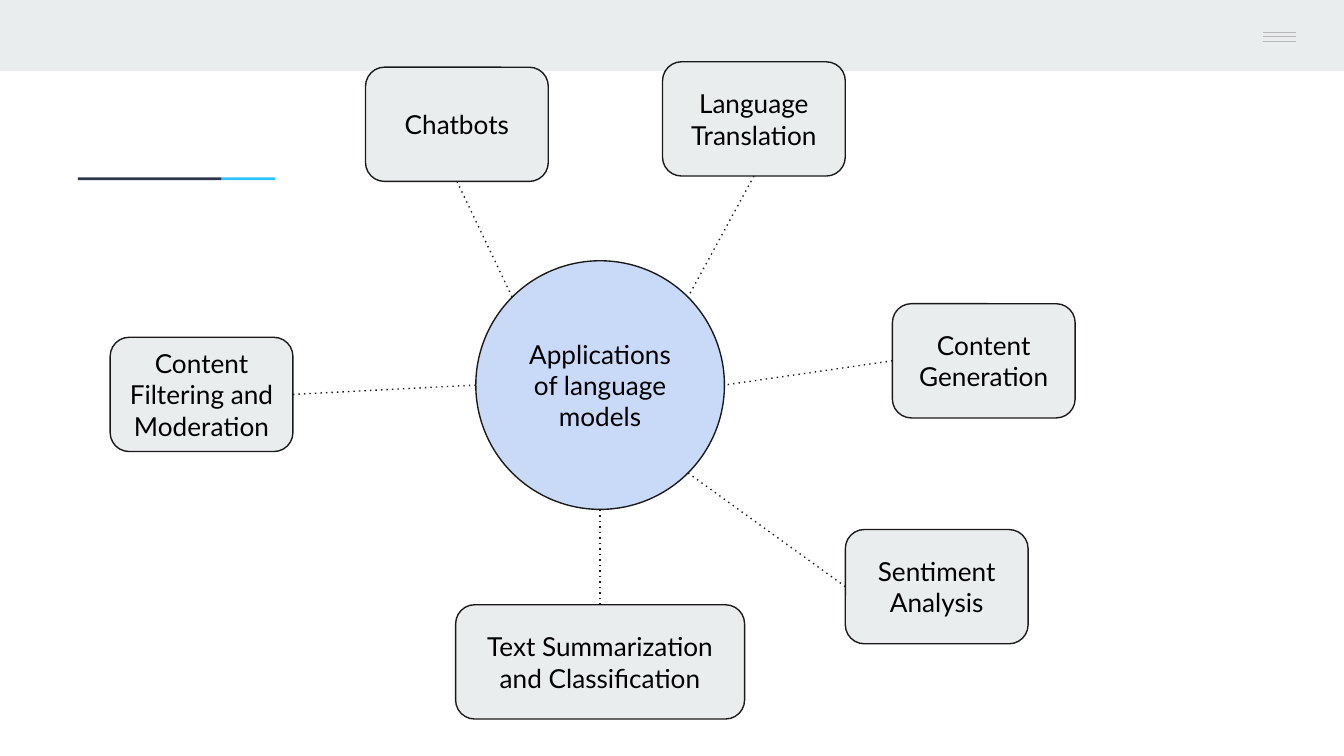
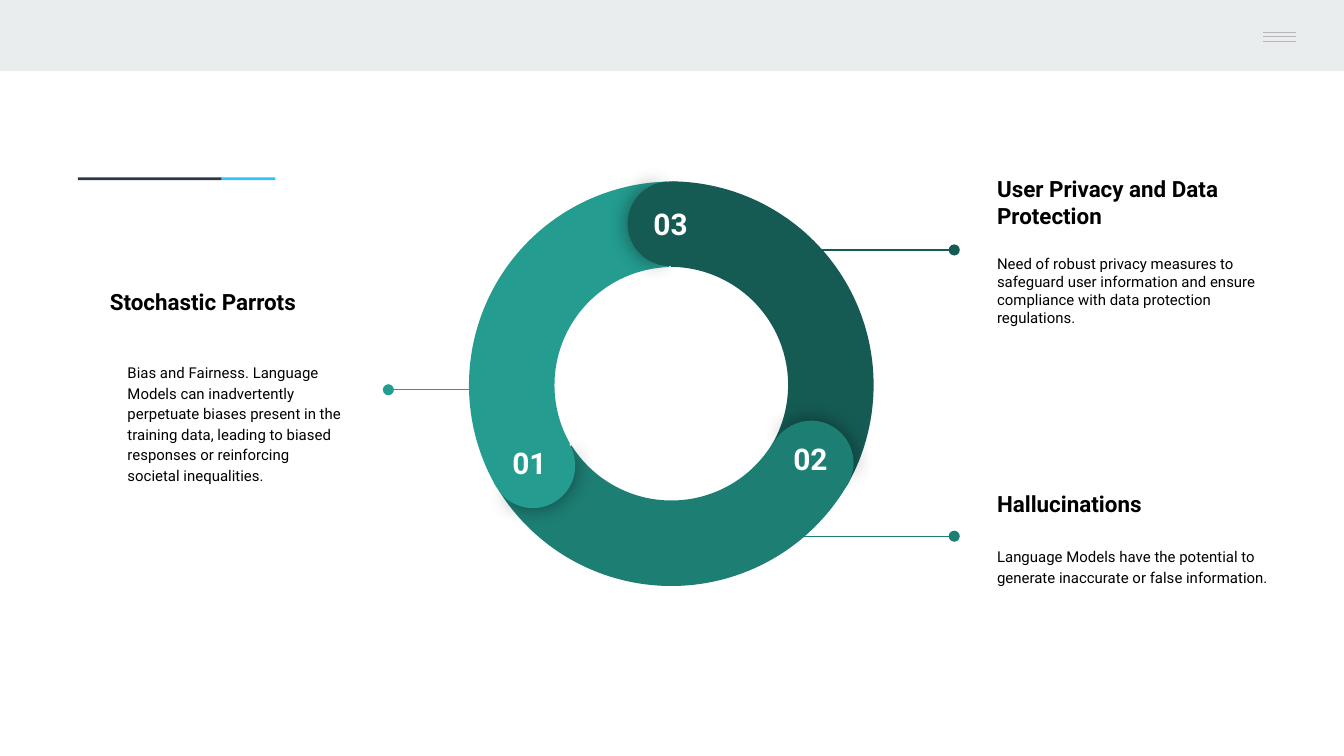
from dataclasses import dataclass
from math import cos, radians, sin

from lxml import etree
from pptx import Presentation
from pptx.dml.color import RGBColor
from pptx.enum.shapes import MSO_CONNECTOR, MSO_SHAPE
from pptx.enum.text import MSO_ANCHOR, PP_ALIGN
from pptx.oxml.ns import qn
from pptx.util import Inches, Pt

RECT, ROUNDED, OVAL = MSO_SHAPE.RECTANGLE, MSO_SHAPE.ROUNDED_RECTANGLE, MSO_SHAPE.OVAL
ARC, PIE = MSO_SHAPE.BLOCK_ARC, MSO_SHAPE.PIE
STRAIGHT = MSO_CONNECTOR.STRAIGHT
LEFT, CENTER = PP_ALIGN.LEFT, PP_ALIGN.CENTER
TOP, MIDDLE = MSO_ANCHOR.TOP, MSO_ANCHOR.MIDDLE
SIDE_TOP, SIDE_LEFT, SIDE_BOTTOM, SIDE_RIGHT = range(4)
BLANK_LAYOUT = 6
SLIDE_WIDTH = 10
SLIDE_HEIGHT = SLIDE_WIDTH * 9 / 16


@dataclass(frozen=True)
class Theme:
    band: str = "E9EDEE"
    menu: str = "B7B7B7"
    navy: str = "2E364C"
    cyan: str = "2CC4FA"
    hub: str = "C9DAF8"
    outline: str = "1A1A1A"
    text: str = "000000"
    white: str = "FFFFFF"
    teal_light: str = "249C90"
    teal: str = "1D7E74"
    teal_dark: str = "155B54"
    map_font: str = "Lato"
    ring_font: str = "Roboto"
    map_size: int = 14
    heading_size: int = 12
    detail_size: int = 8
    number_size: int = 16
    line_width: float = 0.75


THEME = Theme()


def add_block(slide, preset, box, fill, outline=None):
    block = slide.shapes.add_shape(preset, *map(Inches, box))
    block.shadow.inherit = False
    block.fill.solid()
    block.fill.fore_color.rgb = RGBColor.from_string(fill)
    if outline:
        block.line.color.rgb = RGBColor.from_string(outline)
        block.line.width = Pt(THEME.line_width)
    else:
        block.line.fill.background()
    return block


def add_line(slide, start, end, color, dash=None, tail=None):
    line = slide.shapes.add_connector(STRAIGHT, *map(Inches, (*start, *end)))
    line.line.color.rgb = RGBColor.from_string(color)
    line.line.width = Pt(THEME.line_width)
    properties = line.element.spPr
    stroke = properties.find(qn("a:ln"))
    if dash:
        etree.SubElement(stroke, qn("a:prstDash"), val=dash)
    if tail:
        etree.SubElement(stroke, qn("a:tailEnd"), type=tail)
    etree.SubElement(properties, qn("a:effectLst"))
    return line


def prepare_frame(shape, anchor):
    frame = shape.text_frame
    frame.word_wrap = True
    frame.vertical_anchor = anchor
    frame.margin_left = frame.margin_right = Inches(0.1)
    frame.margin_top = frame.margin_bottom = Inches(0.1)
    return frame


def write(paragraph, words, font, size, color=THEME.text, bold=False, align=LEFT):
    paragraph.alignment = align
    run = paragraph.add_run()
    run.text = words
    run.font.name = font
    run.font.size = Pt(size)
    run.font.bold = bold
    run.font.color.rgb = RGBColor.from_string(color)


def add_soft_shadow(shape):
    effects = shape.element.spPr.find(qn("a:effectLst"))
    shadow = etree.SubElement(effects, qn("a:outerShdw"), blurRad=str(Pt(11.2)),
                              dist="0", dir="0", algn="ctr", rotWithShape="0")
    tint = etree.SubElement(shadow, qn("a:srgbClr"), val="000000")
    etree.SubElement(tint, qn("a:alpha"), val="43000")


def draw_header(slide, box):
    left, top, width, height = box
    add_block(slide, RECT, box, THEME.band)
    for y in (0.24, 0.27, 0.31):
        add_line(slide, (left + width - 0.6, top + y), (left + width - 0.36, top + y),
                 THEME.menu)


def draw_accent(slide, box):
    left, top, width, height = box
    navy_width = 1.07
    add_block(slide, RECT, (left, top, navy_width, height), THEME.navy)
    add_block(slide, RECT, (left + navy_width, top, width - navy_width, height), THEME.cyan)


def build_layout(deck):
    layout = deck.slide_layouts[BLANK_LAYOUT]
    for placeholder in list(layout.placeholders):
        layout.shapes.element.remove(placeholder.element)
    slide = deck.slides.add_slide(layout)
    draw_header(slide, (0, 0, SLIDE_WIDTH, 0.53))
    draw_accent(slide, (0.58, 1.32, 1.47, 0.02))
    for part in list(slide.shapes):
        layout.shapes.element.append(part.element)
    return layout, slide


def add_topic(slide, preset, box, fill, words):
    topic = add_block(slide, preset, box, fill, THEME.outline)
    write(prepare_frame(topic, MIDDLE).paragraphs[0], words,
          THEME.map_font, THEME.map_size, align=CENTER)
    return topic


def draw_mind_map(slide, box):
    left, top = box[:2]
    hub_left, hub_top, hub_size = left + 2.72, top + 1.48, 1.85
    topic_height = 0.85
    applications = [
        ("Chatbots", 1.9, 0.04, 1.36, SIDE_BOTTOM, 225),
        ("Language Translation", 4.11, 0, 1.36, SIDE_BOTTOM, 315),
        ("Content Generation", 5.82, 1.8, 1.36, SIDE_LEFT, 0),
        ("Sentiment Analysis", 5.47, 3.48, 1.36, SIDE_LEFT, 45),
        ("Text Summarization and Classification", 2.57, 4.04, 2.15, SIDE_TOP, 90),
        ("Content Filtering and Moderation", 0, 2.05, 1.36, SIDE_RIGHT, 180),
    ]
    add_topic(slide, OVAL, (hub_left, hub_top, hub_size, hub_size), THEME.hub,
              "Applications of language models")
    topics = [add_topic(slide, ROUNDED, (left + x, top + y, width, topic_height),
                        THEME.band, words)
              for words, x, y, width, _, _ in applications]
    radius = hub_size / 2
    for topic, (_, _, _, _, side, angle) in zip(topics, applications):
        hub_edge = (hub_left + radius * (1 + cos(radians(angle))),
                    hub_top + radius * (1 + sin(radians(angle))))
        link = add_line(slide, hub_edge, hub_edge, THEME.outline, dash="dot")
        link.begin_connect(topic, side)


def draw_concern(slide, box, heading, detail, gap, after, spacing=None,
                 align=LEFT, indent=0):
    concern = slide.shapes.add_textbox(*map(Inches, box))
    frame = prepare_frame(concern, MIDDLE)
    write(frame.paragraphs[0], heading, THEME.ring_font, THEME.heading_size,
          bold=True, align=align)
    body = frame.add_paragraph()
    if indent:
        body._p.get_or_add_pPr().set("marL", str(Inches(indent)))
    write(body, detail, THEME.ring_font, THEME.detail_size)
    body.space_before = Pt(gap)
    body.space_after = Pt(after)
    if spacing:
        body.line_spacing = spacing


def draw_ring(slide, box):
    left, top, size = box[:3]
    cap_size = 0.63
    segments = [
        ("03", THEME.teal_dark, 60, (0, 0.02), 197.82, (1.2, 0.02), (1.24, 0.1)),
        ("02", THEME.teal, 180, (0.01, 0), 196.63, (2.25, 1.8), (2.28, 1.85)),
        ("01", THEME.teal_light, 300, (0.02, 0.02), 197.03, (0.18, 1.82), (0.19, 1.88)),
    ]
    for _, color, turn, (x, y), sweep_end, _, _ in segments:
        arc = add_block(slide, ARC, (left + x, top + y, size, size), color)
        arc.rotation = turn
        for index, value in enumerate((126.23, sweep_end, 0.21)):
            arc.adjustments[index] = value
    for _, color, turn, _, _, (x, y), _ in segments:
        for offset, begin, end, shaded in ((300.6, 61.9, 149.96, True),
                                           (120, 40.28, 171.84, False)):
            cap = add_block(slide, PIE, (left + x, top + y, cap_size, cap_size), color)
            cap.rotation = (turn + offset) % 360
            cap.adjustments[0], cap.adjustments[1] = begin, end
            if shaded:
                add_soft_shadow(cap)
    for number, _, _, _, _, _, (x, y) in segments:
        label = slide.shapes.add_textbox(*map(Inches, (left + x, top + y, 0.56, 0.29)))
        write(prepare_frame(label, TOP).paragraphs[0], number, THEME.ring_font,
              THEME.number_size, THEME.white, True, CENTER)


def draw_concerns(slide):
    box_size = (2.32, 1.41)
    draw_concern(
        slide, (0.35, 2.17, *box_size), "Stochastic Parrots",
        "Bias and Fairness. Language Models can inadvertently perpetuate biases present in "
        "the training data, leading to biased responses or reinforcing societal inequalities.",
        gap=24.4, after=15, spacing=1.15, align=CENTER, indent=0.5)
    draw_concern(
        slide, (7.32, 1.16, *box_size), "User Privacy and Data Protection",
        "Need of robust privacy measures to safeguard user information and ensure "
        "compliance with data protection regulations.",
        gap=14, after=16)
    draw_concern(
        slide, (7.32, 3.3, *box_size), "Hallucinations",
        "Language Models have the potential to generate inaccurate or false information.",
        gap=15, after=15, spacing=1.15)
    for start, end, y, color in ((3.58, 2.89, 2.9, THEME.teal_light),
                                 (5.7, 7.1, 1.86, THEME.teal_dark),
                                 (5.7, 7.1, 3.99, THEME.teal)):
        add_line(slide, (start, y), (end, y), color, tail="oval")
    draw_ring(slide, (3.47, 1.33, 3.03, 3.03))


def main():
    deck = Presentation()
    deck.slide_width, deck.slide_height = Inches(SLIDE_WIDTH), Inches(SLIDE_HEIGHT)
    layout, applications_slide = build_layout(deck)
    draw_mind_map(applications_slide, (0.82, 0.46, 7.18, 4.89))
    draw_concerns(deck.slides.add_slide(layout))
    deck.save("out.pptx")


if __name__ == "__main__":
    main()
